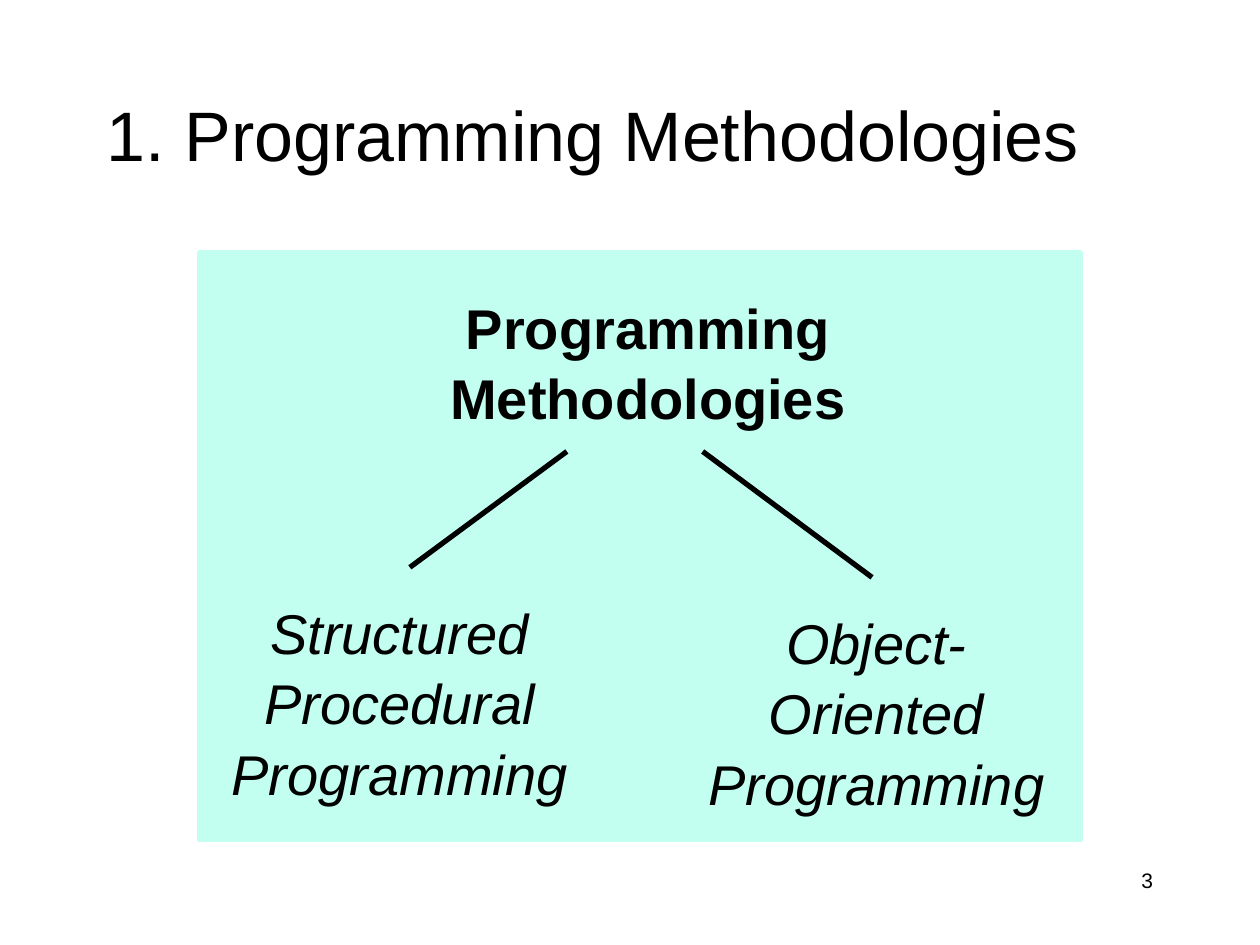
from lxml.etree import SubElement
from pptx import Presentation
from pptx.dml.color import RGBColor
from pptx.enum.shapes import MSO_CONNECTOR, MSO_SHAPE
from pptx.enum.text import MSO_ANCHOR, PP_ALIGN
from pptx.oxml.ns import qn
from pptx.util import Inches, Pt

BLACK = RGBColor(0x00, 0x00, 0x00)
MINT = RGBColor(0xC2, 0xFF, 0xF0)
FONT = "Arial"
WIDTH, HEIGHT = 10, 7.5


def add_text(s, box, text, size, align=PP_ALIGN.CENTER, anchor=MSO_ANCHOR.TOP,
             bold=False, italic=False, indent=0):
    tf = s.shapes.add_textbox(*map(Inches, box)).text_frame
    tf.word_wrap = True
    tf.vertical_anchor = anchor
    p = tf.paragraphs[0]
    p.alignment = align
    p.line_spacing = 1.05
    if indent:
        p._p.get_or_add_pPr().set("marL", str(Inches(indent)))
    r = p.add_run()
    r.text = text
    r.font.name, r.font.size = FONT, Pt(size)
    r.font.bold, r.font.italic = bold, italic
    r.font.color.rgb = BLACK


def add_branch(s, start, end):
    line = s.shapes.add_connector(MSO_CONNECTOR.STRAIGHT,
                                  *map(Inches, start + end))
    line.line.color.rgb = BLACK
    line.line.width = Pt(3)
    SubElement(line._element.spPr, qn("a:effectLst"))


def add_tree(s, box):
    """Root label with two branches on a tinted panel."""
    left, top, width, height = box

    def at(x, y):
        return left + x * width, top + y * height

    def part(x, y, w, h):
        return *at(x, y), w * width, h * height

    # Panel
    panel = s.shapes.add_shape(MSO_SHAPE.RECTANGLE, *map(Inches, box))
    panel.shadow.inherit = False
    panel.fill.solid()
    panel.fill.fore_color.rgb = MINT
    panel.line.color.rgb = MINT
    panel.line.width = Pt(2)

    # Root and leaves
    add_text(s, part(0.214, 0.054, 0.536, 0.268), "Programming Methodologies",
             32, bold=True, indent=0.38)
    add_text(s, part(0.013, 0.572, 0.429, 0.465),
             "Structured Procedural Programming", 32, italic=True)
    add_text(s, part(0.536, 0.589, 0.464, 0.375),
             "Object-Oriented Programming", 32, italic=True)

    # Branches
    add_branch(s, at(0.417, 0.339), at(0.239, 0.536))
    add_branch(s, at(0.571, 0.339), at(0.763, 0.553))


def main():
    prs = Presentation()
    prs.slide_width, prs.slide_height = Inches(WIDTH), Inches(HEIGHT)
    s = prs.slides.add_slide(prs.slide_layouts[6])
    add_tree(s, (1.58, 2, 7, 4.67))
    # Title and page number
    add_text(s, (0.75, 0.42, 8.5, 1.25), "1. Programming Methodologies", 40,
             PP_ALIGN.LEFT, MSO_ANCHOR.MIDDLE)
    add_text(s, (7.17, 6.83, 2.08, 0.5), "3", 12, PP_ALIGN.RIGHT)
    prs.save("out.pptx")


if __name__ == "__main__":
    main()
